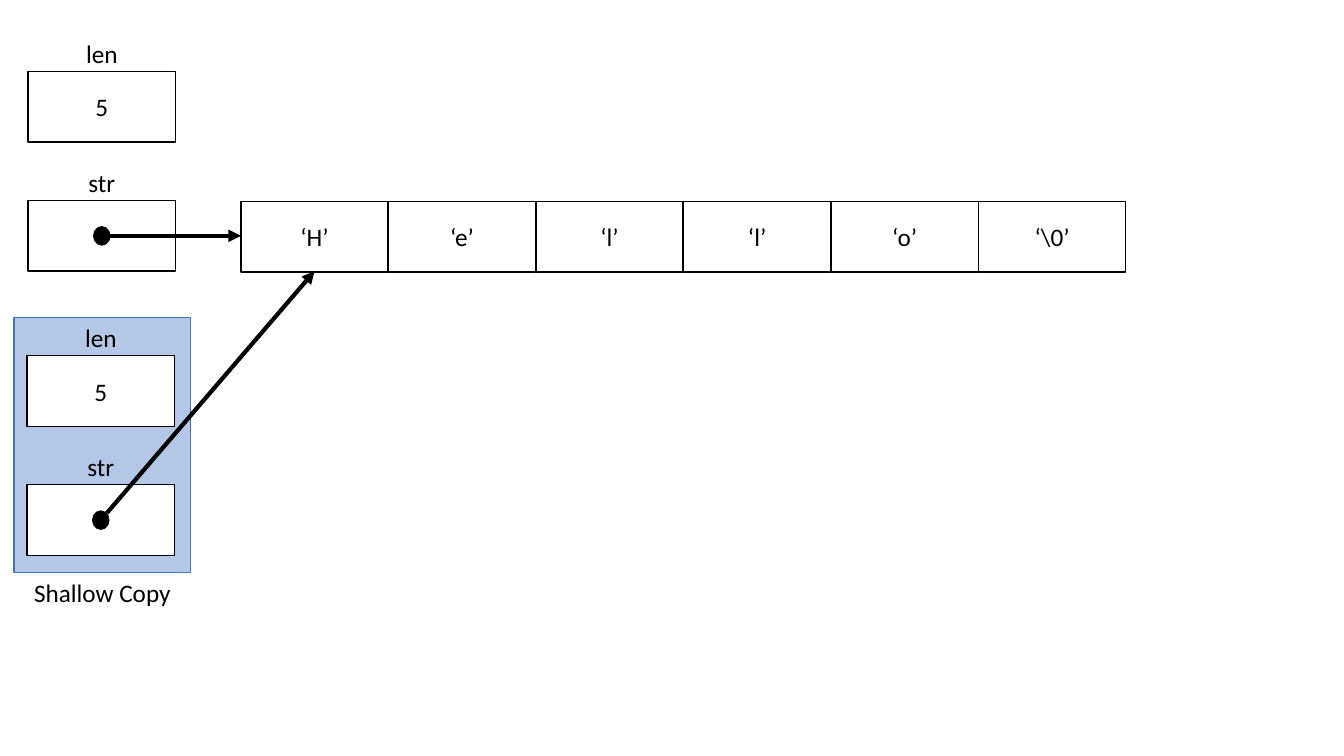
from pptx import Presentation
from pptx.dml.color import RGBColor
from pptx.enum.shapes import MSO_CONNECTOR, MSO_SHAPE
from pptx.enum.text import MSO_ANCHOR, MSO_AUTO_SIZE, PP_ALIGN
from pptx.oxml.ns import qn
from pptx.util import Inches, Pt
from lxml.etree import SubElement

BLACK, WHITE, PANEL_FILL, PANEL_LINE = "000000", "FFFFFF", "B4C7E7", "4472C4"
CELL_WIDTH, CELL_HEIGHT, LABEL_HEIGHT = 1.46, 0.7, 0.38
ARRAY_LEFT, ARRAY_RIGHT = 2.39, 11.17


def color(hex_code):
    """Turn a hex string into a colour."""
    return RGBColor.from_string(hex_code)


class MemoryDiagram:
    """Style and current slide of a memory layout diagram."""

    font_format = {"name": "Calibri", "size": Pt(18)}
    frame_format = {"word_wrap": True, "vertical_anchor": MSO_ANCHOR.MIDDLE}
    label_format = {"word_wrap": True, "vertical_anchor": MSO_ANCHOR.TOP,
                    "auto_size": MSO_AUTO_SIZE.SHAPE_TO_FIT_TEXT}

    def __init__(self, slide):
        """Keep the slide to draw on."""
        self.slide = slide

    def set_text(self, frame, wording, frame_format):
        """Put centred text in a frame."""
        for key, value in frame_format.items():
            setattr(frame, key, value)
        paragraph = frame.paragraphs[0]
        paragraph.alignment = PP_ALIGN.CENTER
        run = paragraph.add_run()
        run.text = wording
        for key, value in self.font_format.items():
            setattr(run.font, key, value)
        run.font.color.rgb = color(BLACK)

    def shape(self, preset, left, top, width, height, fill=None, line=BLACK, wording=""):
        """Draw a preset shape with an optional fill and text."""
        outline = self.slide.shapes.add_shape(
            preset, Inches(left), Inches(top), Inches(width), Inches(height))
        outline.shadow.inherit = False
        if fill:
            outline.fill.solid()
            outline.fill.fore_color.rgb = color(fill)
        else:
            outline.fill.background()
        outline.line.color.rgb = color(line)
        outline.line.width = Pt(1)
        if wording:
            self.set_text(outline.text_frame, wording, self.frame_format)

    def cell(self, left, top, wording="", fill=None):
        """Draw one memory cell."""
        self.shape(MSO_SHAPE.RECTANGLE, left, top, CELL_WIDTH, CELL_HEIGHT, fill, wording=wording)

    def label(self, left, top, width, wording):
        """Add a caption."""
        caption = self.slide.shapes.add_textbox(
            Inches(left), Inches(top), Inches(width), Inches(LABEL_HEIGHT))
        self.set_text(caption.text_frame, wording, self.label_format)

    def pointer(self, start, end):
        """Draw a thick arrow from start to end."""
        arrow = self.slide.shapes.add_connector(
            MSO_CONNECTOR.STRAIGHT, *(Inches(length) for length in (*start, *end)))
        arrow.line.color.rgb = color(BLACK)
        arrow.line.width = Pt(3)
        properties = arrow._element.spPr
        SubElement(properties.find(qn("a:ln")), qn("a:tailEnd"), type="triangle")
        SubElement(properties, qn("a:effectLst"))

    def string_record(self, left, top, fill=None):
        """Draw the len and str fields with the pointer's dot."""
        for name, offset, content in (("len", 0, "5"), ("str", 1.28, "")):
            self.label(left, top + offset, CELL_WIDTH, name)
            self.cell(left, top + offset + LABEL_HEIGHT, content, fill)
        self.shape(MSO_SHAPE.OVAL, left + 0.65, top + 1.92, 0.16, 0.18, BLACK)


presentation = Presentation()
presentation.slide_width, presentation.slide_height = Inches(13.33), Inches(7.5)
diagram = MemoryDiagram(presentation.slides.add_slide(presentation.slide_layouts[6]))

diagram.string_record(0.28, 0.33)
characters = ("H", "e", "l", "l", "o", "\\0")
cell_pitch = (ARRAY_RIGHT - ARRAY_LEFT) / len(characters)
for index, character in enumerate(characters):
    diagram.cell(ARRAY_LEFT + index * cell_pitch, 2, f"‘{character}’")

diagram.shape(MSO_SHAPE.RECTANGLE, 0.14, 3.15, 1.75, 2.53, PANEL_FILL, PANEL_LINE)
diagram.string_record(0.27, 3.15, WHITE)
diagram.label(0.14, 5.68, 1.75, "Shallow Copy")

diagram.pointer((1.09, 2.34), (ARRAY_LEFT, 2.34))
diagram.pointer((1.06, 5.09), (3.12, 2.69))

presentation.save("out.pptx")
